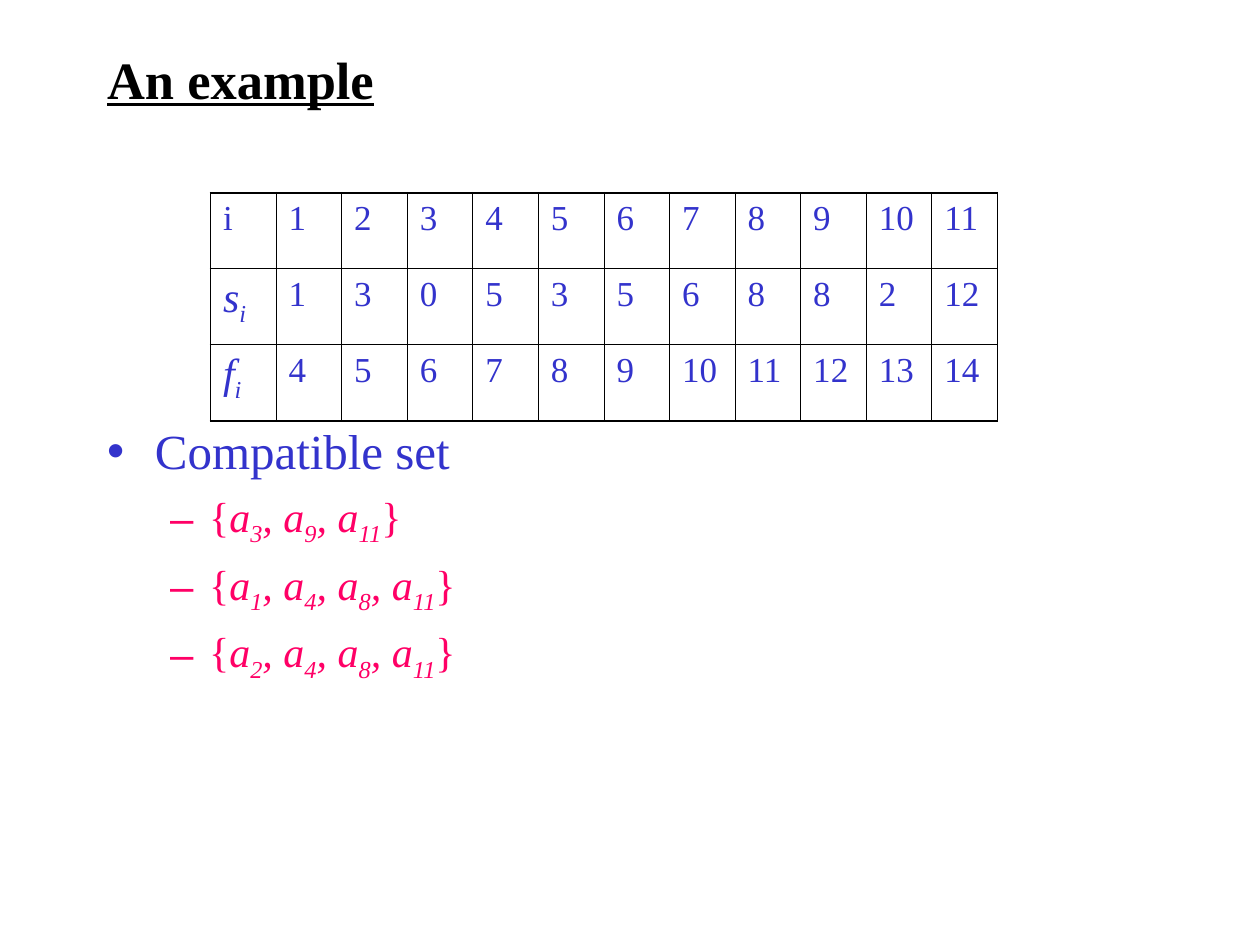
from lxml import etree
from pptx import Presentation
from pptx.dml.color import RGBColor
from pptx.enum import text
from pptx.oxml import ns
from pptx.util import Inches, Pt

COLORS = {"title": "000000", "blue": "3333CC", "pink": "FF0066", "border": "000000"}
FONT = "Times New Roman"
OUTER, INNER = 1.08, 0.45
ACTIVITIES = [
    ("i", range(1, 12)),
    ("s", (1, 3, 0, 5, 3, 5, 6, 8, 8, 2, 12)),
    ("f", range(4, 15)),
]
COMPATIBLE_SETS = [(3, 9, 11), (1, 4, 8, 11), (2, 4, 8, 11)]


def add_text(paragraph, content, size, color, bold=False, italic=False,
             underline=False, subscript=False):
    run = paragraph.add_run()
    run.text = content
    font = run.font
    font.name, font.size = FONT, Pt(size)
    font.bold, font.italic, font.underline = bold, italic, underline
    font.color.rgb = RGBColor.from_string(COLORS[color])
    if subscript:
        font._element.set("baseline", "-25000")


def add_child(parent, tag, **attributes):
    child = etree.SubElement(parent, ns.qn(tag))
    for name, value in attributes.items():
        child.set(name, value)
    return child


def place(shape, left, top, width, height):
    shape.left, shape.top = Inches(left), Inches(top)
    shape.width, shape.height = Inches(width), Inches(height)
    shape.text_frame.word_wrap = True
    shape.text_frame.auto_size = text.MSO_AUTO_SIZE.NONE


def format_bullet(paragraph, level, character, color, left, indent, space):
    paragraph.level = level
    paragraph.space_before = Pt(space)
    properties = paragraph._p.get_or_add_pPr()
    properties.set("marL", str(Inches(left)))
    properties.set("indent", str(Inches(indent)))
    bullet_color = add_child(properties, "a:buClr")
    add_child(bullet_color, "a:srgbClr", val=COLORS[color])
    add_child(properties, "a:buChar", char=character)


def add_title(slide):
    title = slide.shapes.title
    place(title, 0.75, 0.33, 6.75, 0.58)
    title.text_frame.vertical_anchor = text.MSO_ANCHOR.MIDDLE
    paragraph = title.text_frame.paragraphs[0]
    paragraph.alignment = text.PP_ALIGN.LEFT
    add_text(paragraph, "An example", 30, "title", bold=True, underline=True)


def add_compatible_sets(slide):
    body = slide.placeholders[1]
    place(body, 0.75, 1.08, 8.5, 5.58)
    frame = body.text_frame
    frame.margin_top = Inches(2.26)
    heading = frame.paragraphs[0]
    format_bullet(heading, 0, "•", "blue", 0.38, -0.38, 7)
    add_text(heading, "Compatible set", 28, "blue")
    for indices in COMPATIBLE_SETS:
        paragraph = frame.add_paragraph()
        format_bullet(paragraph, 1, "–", "pink", 0.81, -0.31, 6)
        add_text(paragraph, "{", 24, "pink")
        for position, index in enumerate(indices):
            add_text(paragraph, ", a" if position else "a", 24, "pink", italic=True)
            add_text(paragraph, str(index), 24, "pink", italic=True, subscript=True)
        add_text(paragraph, "}", 24, "pink")


def set_borders(cell, **widths):
    properties = cell._tc.get_or_add_tcPr()
    for side in ("L", "R", "T", "B"):
        line = add_child(properties, f"a:ln{side}", w=str(Pt(widths[side])))
        fill = add_child(line, "a:solidFill")
        add_child(fill, "a:srgbClr", val=COLORS["border"])


def fill_cell(cell, content, symbol):
    paragraph = cell.text_frame.paragraphs[0]
    paragraph.space_before = Pt(6 if symbol else 5)
    add_text(paragraph, content, 24 if symbol else 20, "blue", italic=symbol)
    if symbol:
        add_text(paragraph, "i", 24, "blue", italic=True, subscript=True)


def add_activity_table(slide):
    row_count, column_count = len(ACTIVITIES), 12
    width, height = 6.25, 1.81
    table = slide.shapes.add_table(
        row_count, column_count, Inches(1.67), Inches(1.53), Inches(width), Inches(height)
    ).table
    table.first_row = table.horz_banding = False
    for column in table.columns:
        column.width = Inches(width / column_count)
    for row in table.rows:
        row.height = Inches(height / row_count)
    for r, (label, values) in enumerate(ACTIVITIES):
        for c, content in enumerate([label, *values]):
            cell = table.cell(r, c)
            fill_cell(cell, str(content), symbol=r > 0 and c == 0)
            set_borders(
                cell,
                L=OUTER if c == 0 else INNER,
                R=OUTER if c == column_count - 1 else INNER,
                T=OUTER if r == 0 else INNER,
                B=OUTER if r == row_count - 1 else INNER,
            )
            cell.fill.background()


def main():
    presentation = Presentation()
    presentation.slide_width, presentation.slide_height = Inches(10), Inches(7.5)
    slide = presentation.slides.add_slide(presentation.slide_layouts[1])
    add_title(slide)
    add_compatible_sets(slide)
    add_activity_table(slide)
    presentation.save("out.pptx")


if __name__ == "__main__":
    main()
